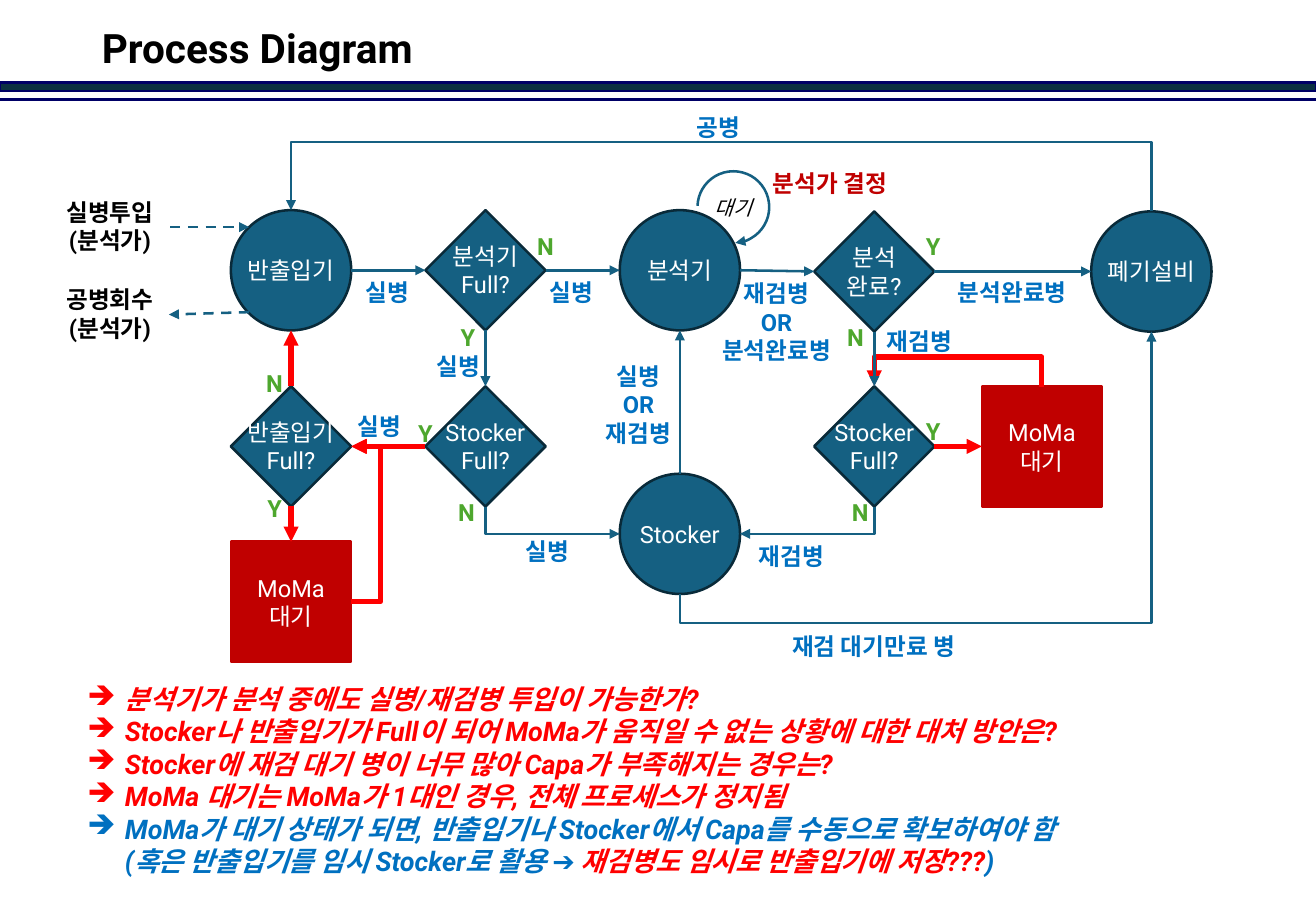
from math import copysign

from lxml.etree import SubElement
from pptx import Presentation
from pptx.dml.color import RGBColor
from pptx.enum.dml import MSO_LINE
from pptx.enum.shapes import MSO_CONNECTOR, MSO_SHAPE
from pptx.enum.text import MSO_ANCHOR, MSO_AUTO_SIZE, PP_ALIGN
from pptx.oxml.ns import qn
from pptx.util import Inches, Pt

BLACK = RGBColor(0x00, 0x00, 0x00)
WHITE = RGBColor(0xFF, 0xFF, 0xFF)
NAVY = RGBColor(0x00, 0x00, 0x66)
DARK = RGBColor(0x0B, 0x30, 0x41)
TEAL = RGBColor(0x15, 0x60, 0x82)
EDGE = RGBColor(0x09, 0x2A, 0x39)
BLUE = RGBColor(0x00, 0x70, 0xC0)
GREEN = RGBColor(0x4E, 0xA7, 0x2E)
RED = RGBColor(0xFF, 0x00, 0x00)
BRICK = RGBColor(0xC0, 0x00, 0x00)
TOP, LEFT, BOTTOM, RIGHT = range(4)
CIRCLE, CHECK, BOX = MSO_SHAPE.OVAL, MSO_SHAPE.DIAMOND, MSO_SHAPE.RECTANGLE
SIDE = 0.99


class Chart:
    """Style and current slide of the process diagram."""
    font = "Roboto"

    def __init__(self, slide):
        self.shapes = slide.shapes
        self.nodes = {}

    def fill_in(self, frame, paras, size=14, bold=False, italic=False,
                align=PP_ALIGN.CENTER):
        """Fill a frame; each paragraph is a list of (text, colour) runs."""
        for i, runs in enumerate(paras):
            para = frame.paragraphs[0] if i == 0 else frame.add_paragraph()
            para.alignment = align
            for text, color in runs:
                for j, line in enumerate(text.split("\n")):
                    if j:
                        para.add_line_break()
                    run = para.add_run()
                    run.text = line
                    font = run.font
                    font.name, font.size = self.font, Pt(size)
                    font.bold, font.italic = bold, italic
                    font.color.rgb = color

    def shape(self, kind, x, y, w, h, fill, edge):
        shape = self.shapes.add_shape(
            kind, Inches(x), Inches(y), Inches(w), Inches(h))
        shape.shadow.inherit = False
        if fill is None:
            shape.fill.background()
        else:
            shape.fill.solid()
            shape.fill.fore_color.rgb = fill
        shape.line.color.rgb = edge
        shape.line.width = Pt(1.5)
        shape.text_frame.vertical_anchor = MSO_ANCHOR.MIDDLE
        return shape

    def node(self, name, kind, x, y, lines):
        fill, edge = (BRICK, BRICK) if kind == BOX else (TEAL, EDGE)
        shape = self.shape(kind, x, y, SIDE, SIDE, fill, edge)
        shape.text_frame.word_wrap = False
        self.fill_in(shape.text_frame, [[(line, WHITE)] for line in lines])
        self.nodes[name] = (shape, kind, x, y)

    def text(self, x, y, w, h, paras, wrap=False, **style):
        box = self.shapes.add_textbox(
            Inches(x), Inches(y), Inches(w), Inches(h))
        frame = box.text_frame
        frame.word_wrap = wrap
        frame.auto_size = MSO_AUTO_SIZE.SHAPE_TO_FIT_TEXT
        self.fill_in(frame, paras, bold=True, **style)
        return frame

    def spot(self, name, side):
        x, y = self.nodes[name][2:]
        dx, dy = ((0.5, 0), (0, 0.5), (0.5, 1), (1, 0.5))[side]
        return x + dx * SIDE, y + dy * SIDE

    def arrow(self, shape):
        SubElement(shape.line._get_or_add_ln(), qn("a:tailEnd"),
                   type="triangle")

    def line(self, start, end, color=TEAL, kind=MSO_CONNECTOR.STRAIGHT,
             dash=False, head=True):
        link = self.shapes.add_connector(
            kind, *(Inches(v) for v in (*start, *end)))
        link.line.color.rgb = color
        link.line.width = Pt(3 if color == RED else 1.5)
        if dash:
            link.line.dash_style = MSO_LINE.DASH
        if head:
            self.arrow(link)
        SubElement(link._element.spPr, qn("a:effectLst"))
        return link

    def link(self, a, out, b, into, color=TEAL):
        link = self.line(self.spot(a, out), self.spot(b, into), color)
        if self.nodes[a][1] != CIRCLE:
            link.begin_connect(self.nodes[a][0], out)
        if self.nodes[b][1] != CIRCLE:
            link.end_connect(self.nodes[b][0], into)

    def bend(self, a, out, b, into, via=None, color=TEAL):
        """Elbow link; via is where the middle leg runs, None for one turn."""
        (x1, y1), (x2, y2) = self.spot(a, out), self.spot(b, into)
        upright = out in (TOP, BOTTOM)
        first = y1 if upright else x1
        along, across = (y2 - y1, x1 - x2) if upright else (x2 - x1, y2 - y1)
        if via is not None and abs(along) < 0.02:
            along = copysign(0.01, via - first)
        w, h = abs(along), abs(across)
        link = self.line((0, 0), (1, 1), color, MSO_CONNECTOR.ELBOW)
        link.left = Inches((x1 + x2 - w) / 2)
        link.top = Inches((y1 + y2 - h) / 2)
        link.width, link.height = Inches(w), Inches(h)
        form = link._element.spPr.find(qn("a:xfrm"))
        for key, on, value in (("rot", upright, "5400000"),
                               ("flipH", along < 0, "1"),
                               ("flipV", across < 0, "1")):
            if on:
                form.set(key, value)
        geom = link._element.spPr.find(qn("a:prstGeom"))
        if via is None:
            geom.set("prst", "bentConnector2")
        else:
            guides = geom.find(qn("a:avLst"))
            if guides is None:
                guides = SubElement(geom, qn("a:avLst"))
            ratio = round((via - first) / along * 100000)
            SubElement(guides, qn("a:gd"), name="adj1", fmla=f"val {ratio}")


def main():
    deck = Presentation()
    deck.slide_width, deck.slide_height = Inches(10.83), Inches(7.5)
    chart = Chart(deck.slides.add_slide(deck.slide_layouts[6]))

    # Title and header rules
    chart.shape(BOX, 0, 0.68, 10.83, 0.07, DARK, NAVY)
    chart.line((0, 0.82), (10.83, 0.82), NAVY, head=False)
    title = chart.text(0.74, 0.15, 6.67, 0.53, [[("Process Diagram", BLACK)]],
                       wrap=True, size=24, align=PP_ALIGN.LEFT)
    title.auto_size = MSO_AUTO_SIZE.NONE
    title.vertical_anchor = MSO_ANCHOR.MIDDLE
    title.paragraphs[0].line_spacing = 0.9

    # Nodes
    for name, kind, x, y, *lines in (
            ("port", CIRCLE, 1.9, 1.73, "반출입기"),
            ("busy", CHECK, 3.5, 1.73, "분석기", "Full?"),
            ("lab", CIRCLE, 5.1, 1.73, "분석기"),
            ("done", CHECK, 6.7, 1.74, "분석", "완료?"),
            ("waste", CIRCLE, 8.98, 1.74, "폐기설비"),
            ("full", CHECK, 1.9, 3.18, "반출입기", "Full?"),
            ("store1", CHECK, 3.5, 3.18, "Stocker", "Full?"),
            ("store2", CHECK, 6.7, 3.18, "Stocker", "Full?"),
            ("stock", CIRCLE, 5.1, 3.9, "Stocker"),
            ("wait1", BOX, 1.9, 4.46, "MoMa\n대기"),
            ("wait2", BOX, 8.08, 3.18, "MoMa\n대기")):
        chart.node(name, kind, x, y, lines)

    # Elbow links
    chart.bend("store1", BOTTOM, "stock", LEFT)
    chart.bend("store2", BOTTOM, "stock", RIGHT)
    chart.bend("waste", TOP, "port", TOP, 1.16)
    chart.bend("stock", BOTTOM, "waste", BOTTOM, 5.13)
    chart.bend("wait2", TOP, "store2", TOP, 2.93, RED)
    chart.bend("wait1", RIGHT, "full", RIGHT, 3.14, RED)

    # Straight links
    for a, out, b, into, color in (
            ("port", RIGHT, "busy", LEFT, TEAL),
            ("busy", RIGHT, "lab", LEFT, TEAL),
            ("lab", RIGHT, "done", LEFT, TEAL),
            ("done", RIGHT, "waste", LEFT, TEAL),
            ("stock", TOP, "lab", BOTTOM, TEAL),
            ("busy", BOTTOM, "store1", TOP, TEAL),
            ("done", BOTTOM, "store2", TOP, TEAL),
            ("store1", LEFT, "full", RIGHT, RED),
            ("full", TOP, "port", BOTTOM, RED),
            ("full", BOTTOM, "wait1", TOP, RED),
            ("store2", RIGHT, "wait2", LEFT, RED)):
        chart.link(a, out, b, into, color)
    chart.line((1.4, 1.87), (2.05, 1.87), dash=True)
    chart.line((2.05, 2.57), (1.39, 2.59), dash=True)

    # Waiting loop
    loop = chart.shape(MSO_SHAPE.ARC, 5.74, 1.41, 0.59, 0.59, None, TEAL)
    loop.adjustments[0], loop.adjustments[1] = 109.21, 52.1
    chart.arrow(loop)
    chart.fill_in(loop.text_frame, [[("대기", BLACK)]], size=12, italic=True)

    # Yes and no marks
    for mark, width, spots in (
            ("N", 0.34, ((4.32, 1.86), (6.87, 2.61), (3.67, 4.05),
                         (6.91, 4.05), (2.09, 2.99))),
            ("Y", 0.32, ((3.69, 2.61), (7.52, 1.86), (3.34, 3.4),
                         (7.52, 3.38), (2.1, 4.02)))):
        for x, y in spots:
            chart.text(x, y, width, 0.34, [[(mark, GREEN)]])

    # Flow labels
    for x, y, w, h, words, color in (
            (0.41, 1.58, 0.99, 0.57, "실병투입\n(분석가)", BLACK),
            (0.41, 2.3, 0.99, 0.57, "공병회수\n(분석가)", BLACK),
            (2.89, 2.24, 0.59, 0.34, "실병", BLUE),
            (4.41, 2.24, 0.59, 0.34, "실병", BLUE),
            (2.83, 3.34, 0.59, 0.34, "실병", BLUE),
            (3.48, 2.85, 0.59, 0.34, "실병", BLUE),
            (4.21, 4.37, 0.59, 0.34, "실병", BLUE),
            (6.12, 4.41, 0.79, 0.34, "재검병", BLUE),
            (7.17, 2.64, 0.79, 0.34, "재검병", BLUE),
            (4.86, 2.93, 0.79, 0.81, "실병\nOR\n재검병", BLUE),
            (5.8, 2.25, 1.18, 0.81, "재검병\nOR\n분석완료병", BLUE),
            (7.74, 2.24, 1.18, 0.34, "분석완료병", BLUE),
            (5.62, 0.88, 0.59, 0.34, "공병", BLUE),
            (6.34, 5.15, 1.7, 0.34, "재검 대기만료 병", BLUE),
            (6.22, 1.34, 1.22, 0.34, "분석가 결정", BRICK)):
        chart.text(x, y, w, h, [[(words, color)]])

    # Open questions
    notes = chart.text(0.62, 5.57, 8.78, 1.72, [
        [("분석기가 분석 중에도 실병/재검병 투입이 가능한가?", RED)],
        [("Stocker나 반출입기가 Full이 되어 MoMa가 움직일 수 없는 상황에 대한 대처 방안은?", RED)],
        [("Stocker에 재검 대기 병이 너무 많아 Capa가 부족해지는 경우는?", RED)],
        [("MoMa 대기는 MoMa가 1대인 경우, 전체 프로세스가 정지됨", RED)],
        [("MoMa가 대기 상태가 되면, 반출입기나 Stocker에서 Capa를 수동으로 확보하여야 함\n"
          "(혹은 반출입기를 임시 Stocker로 활용 ➔ ", BLUE),
         ("재검병도 임시로 반출입기에 저장???", RED), (")", BLUE)],
    ], wrap=True, size=16, italic=True, align=PP_ALIGN.LEFT)
    for para in notes.paragraphs:
        props = para._p.get_or_add_pPr()
        props.set("marL", str(Inches(0.31)))
        props.set("indent", str(Inches(-0.31)))
        SubElement(props, qn("a:buChar"), char="➔")

    deck.save("out.pptx")


if __name__ == "__main__":
    main()
